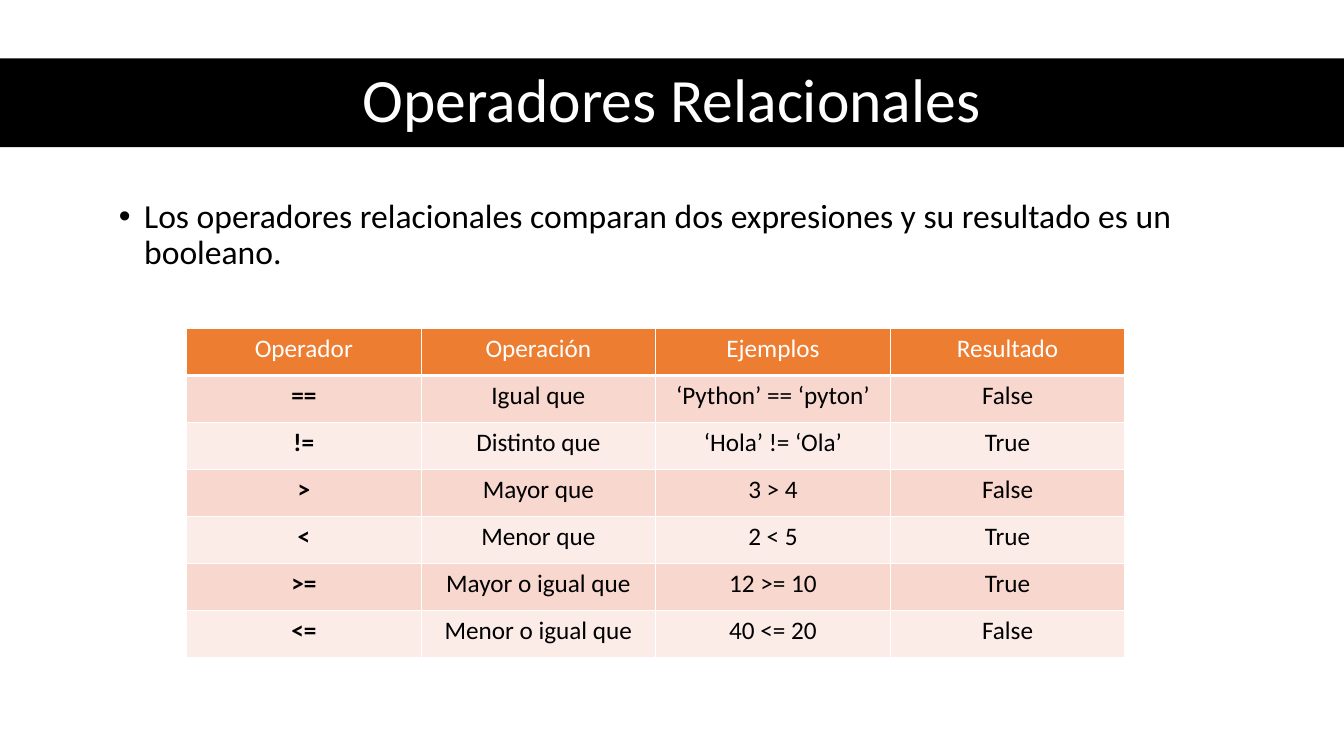
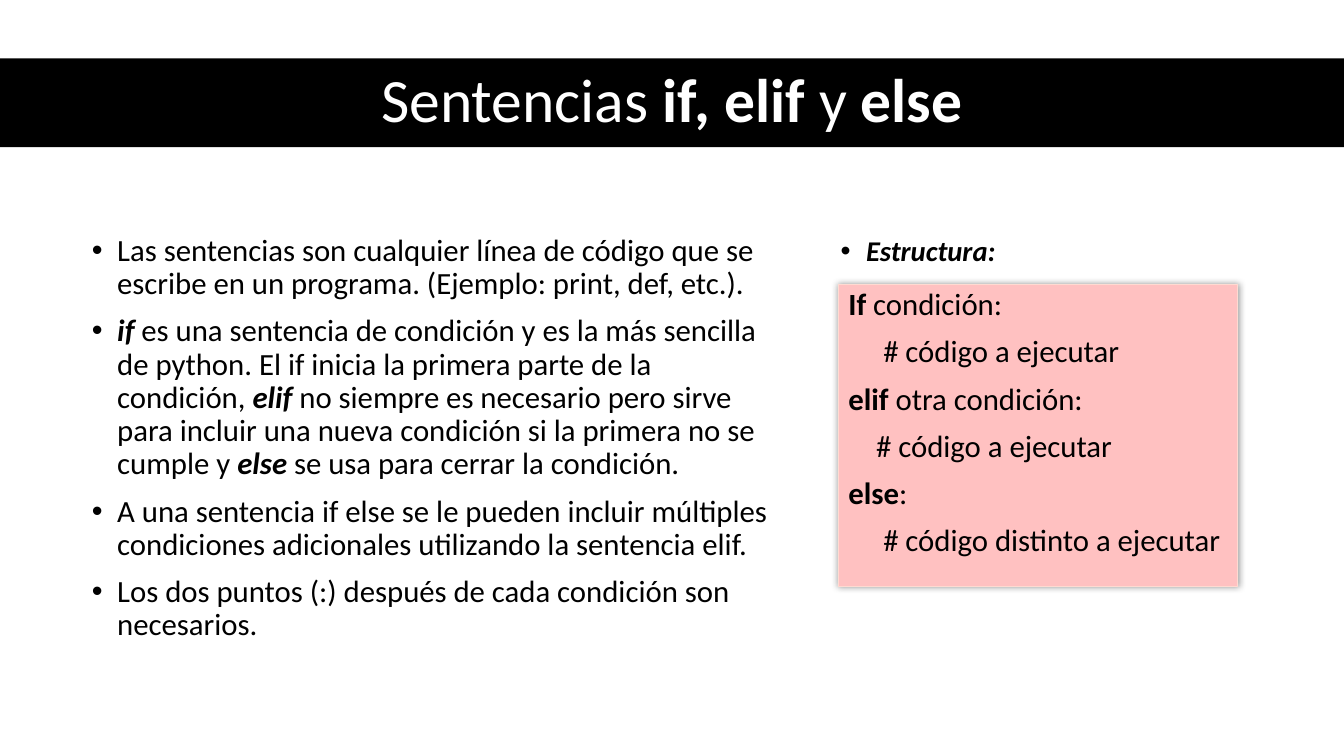
import pptx
import pptx.util
import pptx.dml.color
import pptx.enum.shapes
import pptx.enum.text
import pptx.oxml.ns
from lxml import etree

Cm = pptx.util.Cm
Pt = pptx.util.Pt
qn = pptx.oxml.ns.qn
ALIGN = pptx.enum.text.PP_ALIGN
ANCHOR = pptx.enum.text.MSO_ANCHOR

FONT = "Calibri"
BLACK, WHITE = "000000", "FFFFFF"
HEADER_FILL = "ED7D31"
BAND_FILLS = ["F8D7CE", "FCECE8"]
CODE_FILL, CODE_LINE = "FFC1C1", "FFDAD1"
SLIDE_WIDTH, SLIDE_HEIGHT = 33.87, 19.05
HANGING = 0.64

OPERATORS_TITLE = "Operadores Relacionales"
OPERATORS_INTRO = [
    "Los operadores relacionales comparan dos expresiones y su resultado es un booleano.",
]
OPERATORS_TABLE = [
    ("Operador", "Operación", "Ejemplos", "Resultado"),
    ("==", "Igual que", "‘Python’ == ‘pyton’", "False"),
    ("!=", "Distinto que", "‘Hola’ != ‘Ola’", "True"),
    (">", "Mayor que", "3 > 4", "False"),
    ("<", "Menor que", "2 < 5", "True"),
    (">=", "Mayor o igual que", "12 >= 10", "True"),
    ("<=", "Menor o igual que", "40 <= 20", "False"),
]

SENTENCES_TITLE = "Sentencias *if, elif *y* else*"
SENTENCES_BODY = [
    "Las sentencias son cualquier línea de código que se escribe en un programa. "
    "(Ejemplo: print, def, etc.).",
    "*if* es una sentencia de condición y es la más sencilla de python. El if inicia la "
    "primera parte de la condición, *elif* no siempre es necesario pero sirve para incluir "
    "una nueva condición si la primera no se cumple y *else* se usa para cerrar la condición.",
    "A una sentencia if else se le pueden incluir múltiples condiciones adicionales "
    "utilizando la sentencia elif.",
    "Los dos puntos (:) después de cada condición son necesarios.",
]
STRUCTURE_LABEL = ["*Estructura:*"]
CODE_LINES = [
    ("*If *condición:", 0),
    ("# código a ejecutar", 0.88),
    ("*elif* otra condición:", 0),
    ("# código a ejecutar", 0.7),
    ("*else*:", 0),
    ("# código distinto a ejecutar", 0.88),
]


def color(value):
    return pptx.dml.color.RGBColor.from_string(value)


def place(shape, left, top, width, height):
    shape.left, shape.top, shape.width, shape.height = map(Cm, (left, top, width, height))


def write(paragraph, text, size, ink=BLACK, italic=False, align=ALIGN.LEFT):
    paragraph.alignment = align
    paragraph.font.name = FONT
    paragraph.font.size = Pt(size)
    paragraph.font.color.rgb = color(ink)
    for position, part in enumerate(text.split("*")):
        if part:
            run = paragraph.add_run()
            run.text = part
            run.font.bold = position % 2 == 1
            run.font.italic = italic and run.font.bold


def space(paragraph, line_spacing, left=0, hanging=0):
    paragraph.line_spacing = line_spacing
    paragraph.space_before = Pt(10)
    properties = paragraph._p.get_or_add_pPr()
    properties.set("marL", str(Cm(left)))
    properties.set("indent", str(-Cm(hanging)))


def paragraphs_for(text_frame, items):
    text_frame.word_wrap = True
    text_frame.auto_size = pptx.enum.text.MSO_AUTO_SIZE.NONE
    text_frame.vertical_anchor = ANCHOR.TOP
    for position, item in enumerate(items):
        yield (text_frame.add_paragraph() if position else text_frame.paragraphs[0]), item


def add_titled_slide(presentation, layout, title):
    slide = presentation.slides.add_slide(presentation.slide_layouts[layout])
    band = slide.shapes.title
    place(band, 0, 1.47, SLIDE_WIDTH, 2.24)
    band.fill.solid()
    band.fill.fore_color.rgb = color(BLACK)
    band.text_frame.auto_size = pptx.enum.text.MSO_AUTO_SIZE.NONE
    band.text_frame.vertical_anchor = ANCHOR.MIDDLE
    paragraph = band.text_frame.paragraphs[0]
    write(paragraph, title, 44, WHITE, align=ALIGN.CENTER)
    paragraph.line_spacing = 0.9
    return slide


def fill_bullets(placeholder, items, box, size, line_spacing=0.9):
    place(placeholder, *box)
    for paragraph, text in paragraphs_for(placeholder.text_frame, items):
        write(paragraph, text, size, italic=True)
        space(paragraph, line_spacing, HANGING, HANGING)


def set_borders(cell, widths):
    properties = cell._tc.get_or_add_tcPr()
    for side, width in zip("LRTB", widths):
        line = etree.SubElement(properties, qn("a:ln" + side), w=str(Pt(width)))
        fill = etree.SubElement(line, qn("a:solidFill"))
        etree.SubElement(fill, qn("a:srgbClr"), val=WHITE)


def add_operator_table(slide, rows, box):
    left, top, width, height = map(Cm, box)
    table = slide.shapes.add_table(len(rows), len(rows[0]), left, top, width, height).table
    for row, texts in enumerate(rows):
        header = row == 0
        fill = HEADER_FILL if header else BAND_FILLS[(row - 1) % 2]
        for column, text in enumerate(texts):
            cell = table.cell(row, column)
            set_borders(cell, (1, 1, 1, 3 if header else 1))
            cell.fill.solid()
            cell.fill.fore_color.rgb = color(fill)
            symbol = column == 0 and not header
            write(cell.text_frame.paragraphs[0], f"*{text}*" if symbol else text, 18,
                  WHITE if header else BLACK, align=ALIGN.CENTER)


def add_glow_shadow(shape, blur, opacity):
    shape.shadow.inherit = False
    effects = shape._element.spPr.find(qn("a:effectLst"))
    shadow = etree.SubElement(effects, qn("a:outerShdw"), blurRad=str(Pt(blur)),
                              dist="0", dir="0", algn="ctr", rotWithShape="0")
    shade = etree.SubElement(shadow, qn("a:srgbClr"), val=BLACK)
    etree.SubElement(shade, qn("a:alpha"), val=str(opacity * 1000))


def add_code_box(slide, lines, box):
    shape = slide.shapes.add_shape(pptx.enum.shapes.MSO_SHAPE.RECTANGLE, *map(Cm, box))
    shape.fill.solid()
    shape.fill.fore_color.rgb = color(CODE_FILL)
    shape.line.color.rgb = color(CODE_LINE)
    shape.line.width = Pt(0.75)
    add_glow_shadow(shape, 5, 40)
    for paragraph, (text, indent) in paragraphs_for(shape.text_frame, lines):
        write(paragraph, text, 22)
        space(paragraph, 0.9, indent)


presentation = pptx.Presentation()
presentation.slide_width = Cm(SLIDE_WIDTH)
presentation.slide_height = Cm(SLIDE_HEIGHT)

operators = add_titled_slide(presentation, 1, OPERATORS_TITLE)
fill_bullets(operators.placeholders[1], OPERATORS_INTRO, (2.74, 4.9, 29.21, 12.09), 24)
add_operator_table(operators, OPERATORS_TABLE, (4.7, 8.28, 23.65, 8.3))

sentences = add_titled_slide(presentation, 3, SENTENCES_TITLE)
fill_bullets(sentences.placeholders[1], SENTENCES_BODY, (2.06, 5.79, 18.01, 12.09), 22)
add_code_box(sentences, CODE_LINES, (21.13, 7.16, 10.06, 7.62))
fill_bullets(sentences.placeholders[2], STRUCTURE_LABEL, (20.93, 5.92, 5.05, 0.94), 20.4, 0.8)

presentation.save("out.pptx")
